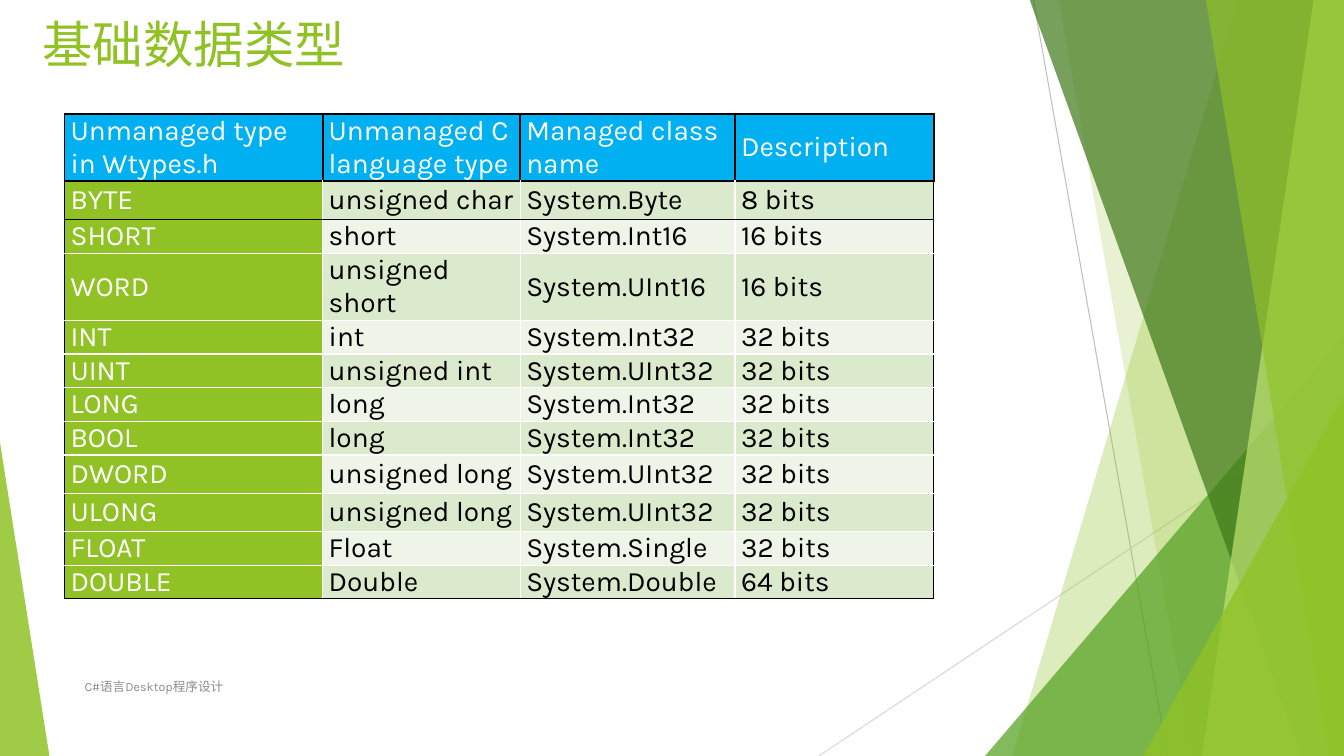
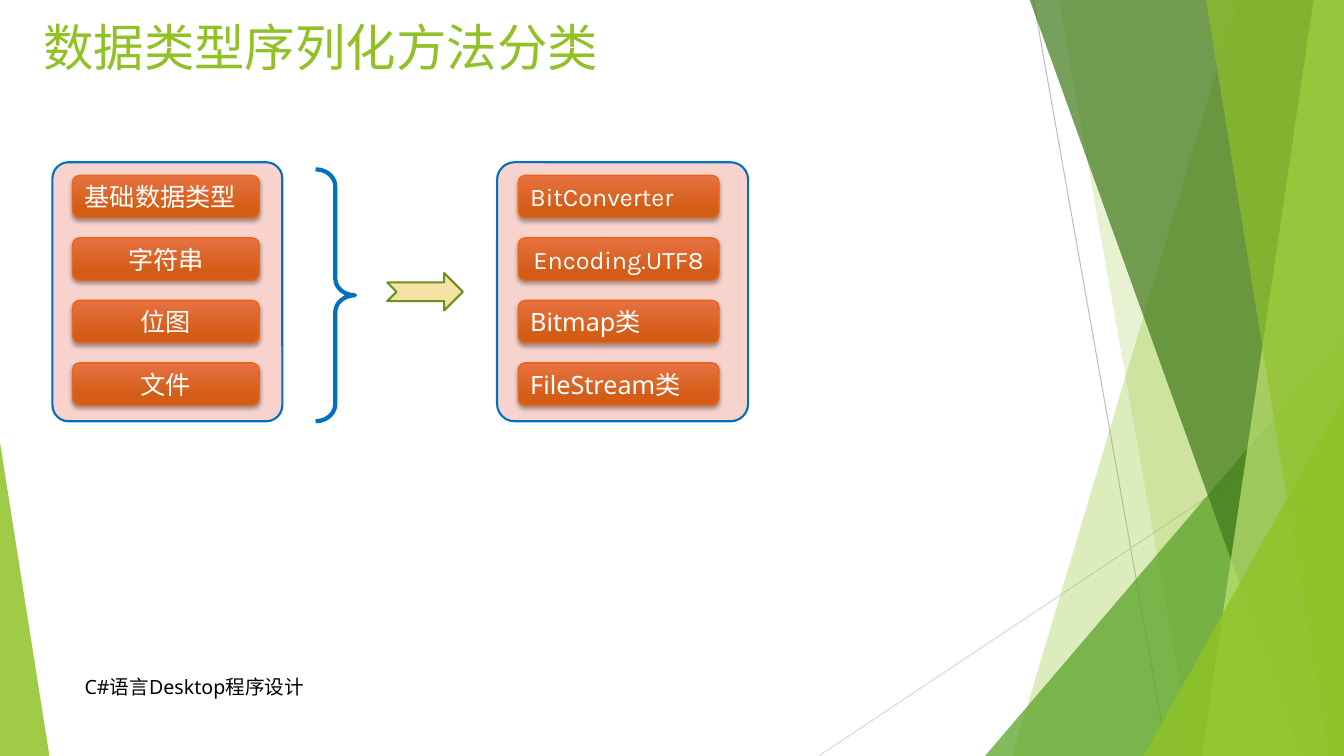
from dataclasses import dataclass

import lxml.etree
import pptx
import pptx.dml.color
import pptx.enum.shapes
import pptx.enum.text
import pptx.oxml.ns
import pptx.shapes.autoshape
import pptx.shapes.base
import pptx.slide
import pptx.table
import pptx.text.text
import pptx.util

Inches = pptx.util.Inches
Pt = pptx.util.Pt
Shapes = pptx.enum.shapes.MSO_SHAPE
Align = pptx.enum.text.PP_ALIGN
Anchor = pptx.enum.text.MSO_ANCHOR
qn = pptx.oxml.ns.qn

COLOURS = {
    "green": "90C226", "mid green": "54A021", "dark green": "3F7819", "lime": "C0E474",
    "white": "FFFFFF", "black": "000000", "footer grey": "8C8C8C",
    "line grey": "BFBFBF", "pale grey": "D9D9D9",
    "header blue": "00B0F0", "band dark": "DBE9CD", "band light": "EEF4E8",
    "panel pink": "F8D2CC", "outline blue": "0070C0",
    "orange top": "E87242", "orange bottom": "D35D16", "orange line": "E76618",
    "arrow fill": "F5E3A5", "arrow line": "6B901C",
}
CHINESE_FONT = "Noto Sans CJK SC"
FOOTER_TEXT = "C#语言Desktop程序设计"
EDGE, TOP, BOTTOM = 13.33, -0.01, 7.5


@dataclass(frozen=True)
class Facet:
    colour: str
    opacity: int
    points: tuple[tuple[float, float], ...]


@dataclass(frozen=True)
class Triangle:
    left: float
    top: float
    width: float
    apex: float
    colour: str
    opacity: int


@dataclass(frozen=True)
class Ray:
    start: tuple[float, float]
    end: tuple[float, float]
    colour: str


@dataclass(frozen=True)
class Button:
    text: str
    font: str = CHINESE_FONT
    align: Align = Align.CENTER


@dataclass(frozen=True)
class Panel:
    left: float
    width: float
    button_left: float
    button_width: float
    buttons: tuple[Button, ...]


def band(top_x: float, bottom_x: float, colour: str, opacity: int) -> Facet:
    return Facet(colour, opacity, ((top_x, TOP), (EDGE, TOP), (EDGE, BOTTOM), (bottom_x, BOTTOM)))


DECORATION = (
    Ray((10.25, 0), (11.58, 7.5), "line grey"),
    Ray((13.33, 4.03), (8.12, 7.5), "pale grey"),
    band(12.28, 10.04, "green", 30),
    band(10.5, 11.83, "green", 20),
    Triangle(9.77, 3.33, 3.56, 1, "mid green", 72),
    band(10.21, 12.91, "dark green", 70),
    band(13.03, 11.92, "lime", 70),
    band(11.96, 13.18, "green", 65),
    Triangle(11.34, 3.93, 1.99, 1, "green", 80),
    Triangle(0, 4.39, 0.49, 0, "green", 85),
)

TYPE_ROWS = (
    ("Unmanaged type in Wtypes.h", "Unmanaged C language type", "Managed class name", "Description"),
    ("BYTE", "unsigned char", "System.Byte", "8 bits"),
    ("SHORT", "short", "System.Int16", "16 bits"),
    ("WORD", "unsigned short", "System.UInt16", "16 bits"),
    ("INT", "int", "System.Int32", "32 bits"),
    ("UINT", "unsigned int", "System.UInt32", "32 bits"),
    ("LONG", "long", "System.Int32", "32 bits"),
    ("BOOL", "long", "System.Int32", "32 bits"),
    ("DWORD", "unsigned long", "System.UInt32", "32 bits"),
    ("ULONG", "unsigned long", "System.UInt32", "32 bits"),
    ("FLOAT", "Float", "System.Single", "32 bits"),
    ("DOUBLE", "Double", "System.Double", "64 bits"),
)
COLUMN_WIDTHS = (2.56, 1.96, 2.13, 1.97)
ROW_HEIGHTS = (0.57, 0.38, 0.24, 0.38, 0.24, 0.24, 0.24, 0.24, 0.38, 0.38, 0.24, 0.24)

PANELS = (
    Panel(0.52, 2.28, 0.72, 1.85, (
        Button("基础数据类型", align=Align.LEFT),
        Button("字符串"),
        Button("位图"),
        Button("文件"),
    )),
    Panel(4.93, 2.49, 5.14, 1.99, (
        Button("BitConverter", "Karla", Align.LEFT),
        Button("Encoding.UTF8", "Karla"),
        Button("Bitmap类", "Noto Sans", Align.LEFT),
        Button("FileStream类", "Noto Sans", Align.LEFT),
    )),
)


def rgb(name: str) -> pptx.dml.color.RGBColor:
    return pptx.dml.color.RGBColor.from_string(COLOURS[name])


def write(frame: pptx.text.text.TextFrame, text: str, size: float, font: str, colour: str,
          align: Align = Align.LEFT) -> None:
    frame.text = text
    para = frame.paragraphs[0]
    para.alignment = align
    span = para.runs[0]
    span.font.size = Pt(size)
    span.font.color.rgb = rgb(colour)
    span.font.name = font
    lxml.etree.SubElement(span.font._element, qn("a:ea"), typeface=CHINESE_FONT)


def place(shape: pptx.shapes.base.BaseShape, left: float, top: float, width: float, height: float) -> None:
    shape.left, shape.top = Inches(left), Inches(top)
    shape.width, shape.height = Inches(width), Inches(height)


def add_box(slide: pptx.slide.Slide, kind: Shapes, left: float, top: float, width: float, height: float,
            fill: str | None = None, line: str | None = None,
            weight: float = 1.5) -> pptx.shapes.autoshape.Shape:
    box = slide.shapes.add_shape(kind, Inches(left), Inches(top), Inches(width), Inches(height))
    paint(box, fill, line, weight)
    return box


def paint(box: pptx.shapes.autoshape.Shape, fill: str | None, line: str | None = None,
          weight: float = 1.5) -> None:
    box.shadow.inherit = False
    if fill:
        box.fill.solid()
        box.fill.fore_color.rgb = rgb(fill)
    else:
        box.fill.background()
    if line:
        box.line.color.rgb = rgb(line)
        box.line.width = Pt(weight)
    else:
        box.line.fill.background()


def draw_decoration(slide: pptx.slide.Slide, item: Ray | Facet | Triangle) -> pptx.shapes.base.BaseShape:
    if isinstance(item, Ray):
        ends = [Inches(value) for value in item.start + item.end]
        ray = slide.shapes.add_connector(pptx.enum.shapes.MSO_CONNECTOR.STRAIGHT, *ends)
        ray.line.color.rgb = rgb(item.colour)
        ray.line.width = Pt(0.75)
        lxml.etree.SubElement(ray.element.spPr, qn("a:effectLst"))
        return ray
    if isinstance(item, Facet):
        points = [(Inches(x), Inches(y)) for x, y in item.points]
        builder = slide.shapes.build_freeform(*points[0])
        builder.add_line_segments(points[1:], close=True)
        shape = builder.convert_to_shape()
        paint(shape, item.colour)
    else:
        shape = add_box(slide, Shapes.ISOSCELES_TRIANGLE, item.left, item.top, item.width,
                        BOTTOM - item.top, item.colour)
        shape.adjustments[0] = item.apex
    colour = shape.element.spPr.find(f"{qn('a:solidFill')}/{qn('a:srgbClr')}")
    lxml.etree.SubElement(colour, qn("a:alpha"), val=str(item.opacity * 1000))
    return shape


def decorate_master(deck: pptx.presentation.Presentation, slide: pptx.slide.Slide) -> None:
    tree = deck.slide_master.shapes.element
    for index, item in enumerate(DECORATION):
        element = draw_decoration(slide, item).element
        element.xpath(".//p:cNvPr")[0].set("id", str(100 + index))
        tree.insert(2 + index, element)


def add_title(slide: pptx.slide.Slide, text: str, left: float, top: float, width: float, height: float,
              font: str, align: Align = Align.LEFT) -> None:
    title = slide.shapes.title
    place(title, left, top, width, height)
    frame = title.text_frame
    frame.word_wrap = True
    frame.auto_size = pptx.enum.text.MSO_AUTO_SIZE.NONE
    frame.vertical_anchor = Anchor.TOP
    write(frame, text, 36, font, "green", align)
    frame.paragraphs[0].line_spacing = 0.9


def add_footer(slide: pptx.slide.Slide, width: float, size: float, font: str, colour: str) -> None:
    footer = slide.shapes.add_textbox(Inches(0.74), Inches(6.61), Inches(width), Inches(0.4))
    footer.text_frame.word_wrap = True
    footer.text_frame.vertical_anchor = Anchor.MIDDLE
    write(footer.text_frame, FOOTER_TEXT, size, font, colour)


def set_borders(cell: pptx.table._Cell, row: int, column: int) -> None:
    def upright(index: int) -> tuple[str, float]:
        if row == 0:
            return "black", 1.5
        return ("black" if index in (0, len(COLUMN_WIDTHS)) else "white"), 1

    def level(index: int) -> tuple[str, float]:
        if index < 2:
            return "black", 1.5
        return ("black" if index in (2, len(TYPE_ROWS)) else "white"), 1

    properties = cell._tc.get_or_add_tcPr()
    sides = {"lnL": upright(column), "lnR": upright(column + 1), "lnT": level(row), "lnB": level(row + 1)}
    for tag, (colour, weight) in sides.items():
        line = lxml.etree.SubElement(properties, qn(f"a:{tag}"), w=str(Pt(weight)))
        fill = lxml.etree.SubElement(line, qn("a:solidFill"))
        lxml.etree.SubElement(fill, qn("a:srgbClr"), val=COLOURS[colour])


def add_type_table(slide: pptx.slide.Slide) -> None:
    table = slide.shapes.add_table(len(TYPE_ROWS), len(COLUMN_WIDTHS), Inches(0.64), Inches(1.13),
                                   Inches(sum(COLUMN_WIDTHS)), Inches(sum(ROW_HEIGHTS))).table
    table.first_row = table.horz_banding = False
    for column, width in zip(table.columns, COLUMN_WIDTHS):
        column.width = Inches(width)
    for row, height in zip(table.rows, ROW_HEIGHTS):
        row.height = Inches(height)
    for row, texts in enumerate(TYPE_ROWS):
        for column, text in enumerate(texts):
            cell = table.cell(row, column)
            cell.margin_left = cell.margin_right = Inches(0.06)
            cell.margin_top = cell.margin_bottom = 0
            cell.vertical_anchor = Anchor.MIDDLE
            set_borders(cell, row, column)
            if row == 0:
                fill = "header blue"
            elif column == 0:
                fill = "green"
            else:
                fill = "band dark" if row % 2 else "band light"
            cell.fill.solid()
            cell.fill.fore_color.rgb = rgb(fill)
            write(cell.text_frame, text, 20, "Karla", "black" if row and column else "white")


def add_button(slide: pptx.slide.Slide, button: Button, left: float, top: float, width: float) -> None:
    box = add_box(slide, Shapes.ROUNDED_RECTANGLE, left, top, width, 0.42, None, "orange line", 1)
    box.fill.gradient()
    box.fill.gradient_angle = 270
    stops = ((0, "orange top"), (0.78, "orange bottom"))
    for stop, (position, colour) in zip(box.fill.gradient_stops, stops):
        stop.position = position
        stop.color.rgb = rgb(colour)
    effects = box.element.spPr.find(qn("a:effectLst"))
    shadow = lxml.etree.SubElement(effects, qn("a:outerShdw"), blurRad=str(Pt(3)), dist=str(Pt(2)),
                                   dir="5400000", rotWithShape="0")
    colour = lxml.etree.SubElement(shadow, qn("a:srgbClr"), val=COLOURS["black"])
    lxml.etree.SubElement(colour, qn("a:alpha"), val="35000")
    box.text_frame.word_wrap = True
    box.text_frame.vertical_anchor = Anchor.MIDDLE
    write(box.text_frame, button.text, 18, button.font, "white", button.align)


def add_panel(slide: pptx.slide.Slide, panel: Panel) -> None:
    frame = add_box(slide, Shapes.ROUNDED_RECTANGLE, panel.left, 1.61, panel.width, 2.57,
                    "panel pink", "outline blue")
    frame.adjustments[0] = 0.07
    for index, button in enumerate(panel.buttons):
        add_button(slide, button, panel.button_left, 1.74 + 0.62 * index, panel.button_width)


def main() -> None:
    deck = pptx.Presentation()
    deck.slide_width, deck.slide_height = Inches(EDGE), Inches(BOTTOM)
    title_only = deck.slide_layouts[5]

    types_page = deck.slides.add_slide(title_only)
    decorate_master(deck, types_page)
    add_footer(types_page, 1.8, 9, "Karla", "footer grey")
    add_type_table(types_page)
    add_title(types_page, "基础数据类型", 0.12, 0.15, 3.6, 0.75, CHINESE_FONT, Align.CENTER)

    methods_page = deck.slides.add_slide(title_only)
    add_footer(methods_page, 6.89, 14, "Noto Sans", "black")
    add_title(methods_page, "数据类型序列化方法分类", 0.33, 0.18, 5.9, 0.8, "Karla")
    for panel in PANELS:
        add_panel(methods_page, panel)
    add_box(methods_page, Shapes.NOTCHED_RIGHT_ARROW, 3.84, 2.71, 0.75, 0.37, "arrow fill", "arrow line")
    brace = add_box(methods_page, Shapes.RIGHT_BRACE, 3.13, 1.68, 0.39, 2.5, None, "outline blue", 3)
    brace.adjustments[0] = 0.43
    deck.save("out.pptx")


if __name__ == "__main__":
    main()
